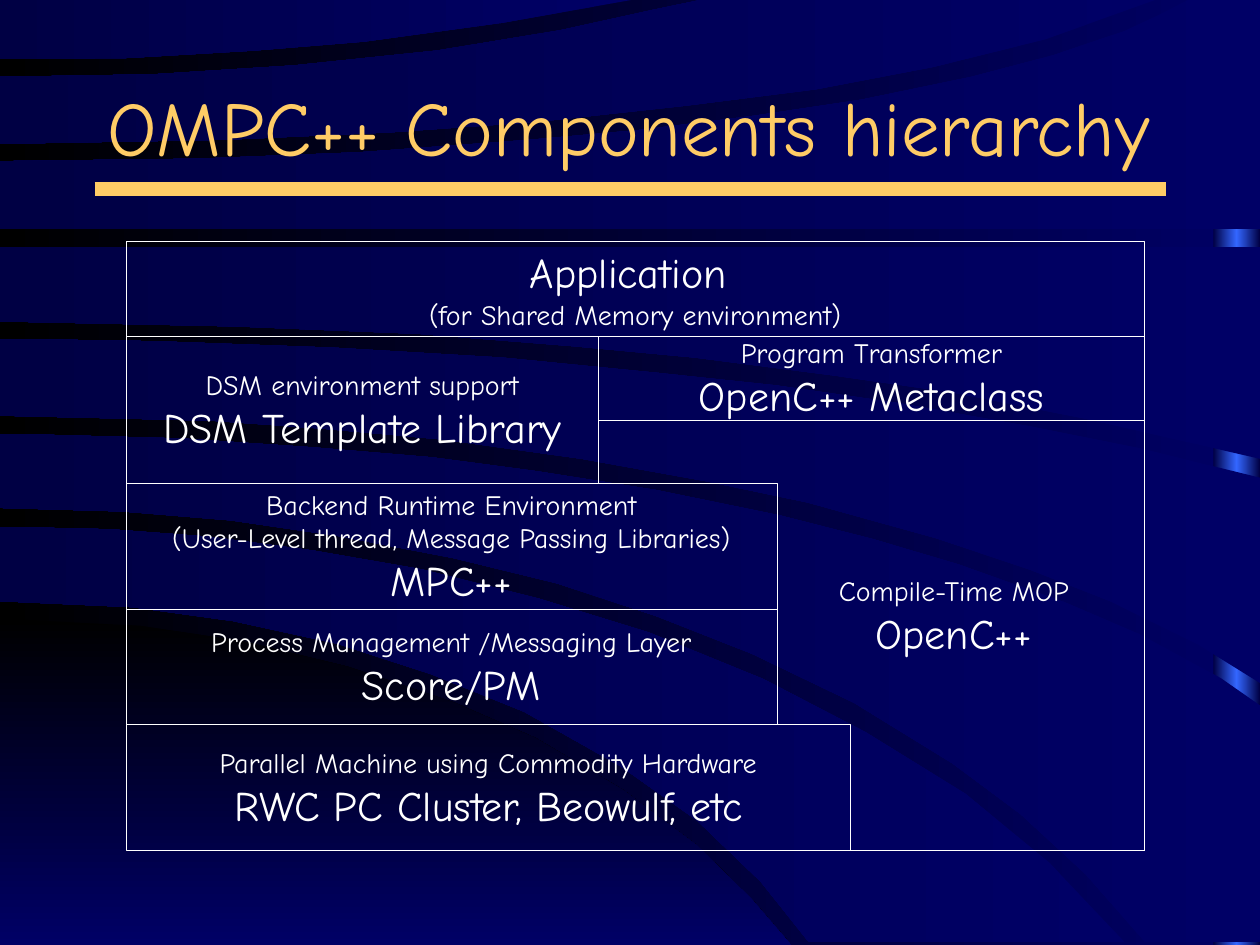
from copy import deepcopy
from dataclasses import dataclass

from pptx import Presentation
from pptx.dml.color import RGBColor
from pptx.enum.shapes import MSO_CONNECTOR, MSO_SHAPE
from pptx.enum.text import MSO_ANCHOR, MSO_AUTO_SIZE, PP_ALIGN
from pptx.oxml.ns import qn
from pptx.oxml.xmlchemy import OxmlElement
from pptx.util import Cm, Pt


@dataclass(frozen=True)
class Theme:
    font: str = "Comic Neue"
    gold: str = "FFCC66"
    white: str = "FFFFFF"
    black: str = "000000"
    navy: str = "000066"
    deep: str = "000044"
    bright: str = "3366FF"
    title: int = 44
    name: int = 24
    role: int = 16
    hairline: float = 0.25
    rule: float = 8


WIDTH, HEIGHT = 25.4, 19.05

# Ribbons from bottom to top, each as (upper edge, lower edge) in cm
RIBBONS = [
    ([(0, 10.62), (2.21, 10.67), (4.22, 10.82), (6.32, 11.1), (8.51, 11.48), (10.87, 12.07),
      (13.08, 12.75), (15.39, 13.69), (17.45, 14.76), (19.46, 16), (21.16, 17.4), (22.68, 19)],
     [(0, 12.12), (2.67, 12.24), (4.7, 12.52), (6.81, 12.98), (8.69, 13.59), (10.57, 14.35),
      (12.5, 15.44), (14.05, 16.54), (15.34, 17.78), (16.31, 19)]),
    ([(0, 8.74), (3.66, 8.84), (6.32, 9.02), (8.71, 9.22), (10.82, 9.5), (13.23, 9.88),
      (15.72, 10.39), (17.6, 10.87), (19.33, 11.38), (21.46, 12.14), (22.96, 12.78),
      (24.61, 13.67), (WIDTH, 14.22)],
     [(0, 10.24), (2.46, 10.31), (4.65, 10.49), (6.78, 10.8), (9.14, 11.25), (11.23, 11.76),
      (13.23, 12.42), (15.16, 13.18), (17.22, 14.17), (19.2, 15.39), (20.57, 16.41),
      (21.89, 17.63), (23.09, 19), (WIDTH, 19)]),
    ([(0, 6.83), (3.15, 6.88), (6.73, 7.01), (10.13, 7.21), (13.28, 7.52), (15.65, 7.77),
      (18.14, 8.13), (20.73, 8.59), (22.99, 9.04), (WIDTH, 9.63)],
     [(0, 8.38), (4.24, 8.48), (6.48, 8.64), (8.92, 8.86), (11.73, 9.25), (14.22, 9.7),
      (16.28, 10.13), (18.87, 10.85), (20.75, 11.48), (22.38, 12.12), (24.16, 13),
      (WIDTH, 13.77)]),
    ([(0, 4.98), (WIDTH, 4.98)],
     [(0, 6.48), (4.72, 6.58), (8.43, 6.73), (11.56, 6.98), (14.02, 7.21), (16.81, 7.57),
      (19.25, 7.92), (21.97, 8.46), (WIDTH, 9.25)]),
    ([(0, 3.25), (3.99, 3.2), (7.26, 3.07), (10.67, 2.82), (12.9, 2.62), (15.16, 2.34),
      (17.37, 2.01), (19.58, 1.55), (21.21, 1.12), (22.66, 0.63), (23.37, 0.3), (23.95, 0),
      (WIDTH, 0)],
     [(0, 4.62), (WIDTH, 4.62)]),
    ([(0, 1.55), (3.07, 1.5), (5.92, 1.32), (8.81, 1.02), (11.3, 0.61), (13.16, 0.2),
      (14.12, 0), (23.29, 0)],
     [(0, 2.9), (4.5, 2.82), (7.85, 2.67), (10.8, 2.46), (13.84, 2.13), (16.46, 1.8),
      (18.82, 1.35), (21.08, 0.79)]),
    ([(0, 0), (12.73, 0)],
     [(0, 1.19), (2.57, 1.17), (5.13, 1.02), (7.34, 0.84), (10.13, 0.46)]),
]
SHADE = ([(0, 12.47), (2.84, 12.62), (4.9, 12.93), (7.01, 13.44), (9.17, 14.17), (10.8, 14.88),
          (12.57, 15.93), (14.05, 17.04), (15.14, 18.11), (15.95, HEIGHT)], [(0, HEIGHT)])

# Grid lines of the component diagram in cm
LEFT, LIBRARY, RUNTIME, MACHINE, RIGHT = 2.54, 12.07, 15.66, 17.15, 23.07
Y_APP, Y_LIB, Y_META_END, Y_RUN, Y_PROC, Y_MACH, Y_END = 4.87, 6.77, 8.47, 9.74, 12.28, 14.61, 17.15


class SlideBuilder:
    def __init__(self, slide, theme):
        self.s = slide
        self.t = theme

    def gradient(self, fill, start, end, angle=180):
        fill.gradient()
        fill.gradient_angle = angle
        for stop, color in zip(fill.gradient_stops, (start, end)):
            stop.color.rgb = RGBColor.from_string(color)

    def background(self):
        self.gradient(self.s.background.fill, self.t.navy, self.t.black)

    def ribbon(self, upper, lower, start, end, angle=180):
        points = [(Cm(x), Cm(y)) for x, y in upper + lower[::-1]]
        builder = self.s.shapes.build_freeform(*points[0])
        builder.add_line_segments(points[1:], close=True)
        sp = builder.convert_to_shape()
        sp.shadow.inherit = False
        sp.line.fill.background()
        self.gradient(sp.fill, start, end, angle)

    def glow_strip(self, x):
        """Add a full-height strip that is brightest along its middle."""
        sp = self.s.shapes.add_shape(MSO_SHAPE.RECTANGLE, Cm(x), 0, Cm(WIDTH - x), Cm(HEIGHT))
        sp.shadow.inherit = False
        sp.line.fill.background()
        self.gradient(sp.fill, self.t.deep, self.t.bright)
        stops = sp._element.spPr.find(".//" + qn("a:gsLst"))
        stops[1].set("pos", "50000")
        last = deepcopy(stops[0])
        last.set("pos", "100000")
        stops.append(last)

    def line(self, x1, y1, x2, y2, color, width):
        ln = self.s.shapes.add_connector(MSO_CONNECTOR.STRAIGHT, Cm(x1), Cm(y1), Cm(x2), Cm(y2))
        ln.line.color.rgb = RGBColor.from_string(color)
        ln.line.width = Pt(width)
        ln._element.spPr.append(OxmlElement("a:effectLst"))

    def paragraph(self, p, text, size, color, align):
        p.text = text
        p.alignment = align
        p.font.name = self.t.font
        p.font.size = Pt(size)
        p.font.color.rgb = RGBColor.from_string(color)

    def title(self, text):
        sp = self.s.shapes.title
        sp.left, sp.top, sp.width, sp.height = Cm(1.91), Cm(1.27), Cm(21.59), Cm(2.54)
        tf = sp.text_frame
        tf.auto_size = MSO_AUTO_SIZE.NONE
        tf.vertical_anchor = MSO_ANCHOR.MIDDLE
        self.paragraph(tf.paragraphs[0], text, self.t.title, self.t.gold, PP_ALIGN.LEFT)
        self.s.shapes._spTree.append(sp._element)  # in front of the ribbons

    def label(self, sp, lines):
        """Fill a shape with centred (text, size) lines."""
        tf = sp.text_frame
        tf.word_wrap = False
        tf.vertical_anchor = MSO_ANCHOR.MIDDLE
        for i, (text, size) in enumerate(lines):
            p = tf.add_paragraph() if i else tf.paragraphs[0]
            self.paragraph(p, text, size, self.t.white, PP_ALIGN.CENTER)

    def component(self, x1, y1, x2, y2, *lines):
        sp = self.s.shapes.add_shape(MSO_SHAPE.RECTANGLE, Cm(x1), Cm(y1), Cm(x2 - x1), Cm(y2 - y1))
        sp.shadow.inherit = False
        sp.fill.background()
        sp.line.color.rgb = RGBColor.from_string(self.t.white)
        sp.line.width = Pt(self.t.hairline)
        self.label(sp, lines)

    def text(self, x, y, w, h, *lines):
        self.label(self.s.shapes.add_textbox(Cm(x), Cm(y), Cm(w), Cm(h)), lines)


def main():
    prs = Presentation()
    prs.slide_width, prs.slide_height = Cm(WIDTH), Cm(HEIGHT)
    t = Theme()
    b = SlideBuilder(prs.slides.add_slide(prs.slide_layouts[5]), t)

    b.background()
    b.glow_strip(24.46)
    b.ribbon(*SHADE, t.black, t.navy, angle=270)
    for upper, lower in RIBBONS:
        b.ribbon(upper, lower, t.navy, t.deep)
    b.line(1.91, 3.81, 23.5, 3.81, t.gold, t.rule)
    b.title("OMPC++ Components hierarchy")

    b.component(LEFT, Y_MACH, MACHINE, Y_END,
                ("Parallel Machine using Commodity Hardware", t.role),
                ("RWC PC Cluster, Beowulf, etc", t.name))
    b.component(LEFT, Y_PROC, RUNTIME, Y_MACH,
                ("Process Management /Messaging Layer", t.role), ("Score/PM", t.name))
    b.component(LEFT, Y_RUN, RUNTIME, Y_PROC,
                ("Backend Runtime Environment", t.role),
                ("(User-Level thread, Message Passing Libraries)", t.role), ("MPC++", t.name))
    b.component(LEFT, Y_LIB, LIBRARY, Y_RUN,
                ("DSM environment support", t.role), ("DSM Template Library", t.name))
    b.component(LIBRARY, Y_LIB, RIGHT, Y_META_END,
                ("Program Transformer", t.role), ("OpenC++ Metaclass", t.name))
    b.component(LEFT, Y_APP, RIGHT, Y_LIB,
                ("Application ", t.name), ("(for Shared Memory environment)", t.role))
    b.text(16.64, 11.43, 5.18, 1.96, ("Compile-Time MOP", t.role), ("OpenC++", t.name))
    b.line(RUNTIME, Y_END, RIGHT, Y_END, t.white, t.hairline)
    b.line(RIGHT, Y_META_END, RIGHT, Y_END, t.white, t.hairline)
    prs.save("out.pptx")


if __name__ == "__main__":
    main()
